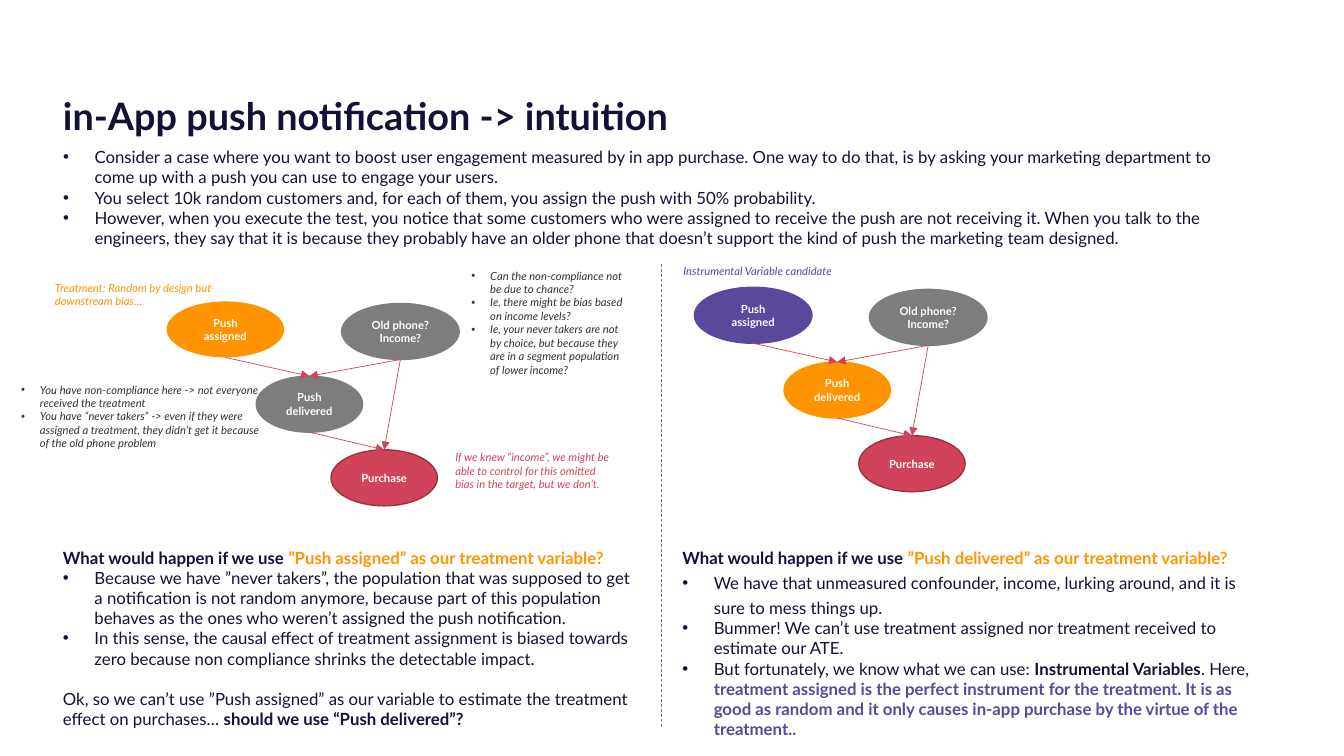
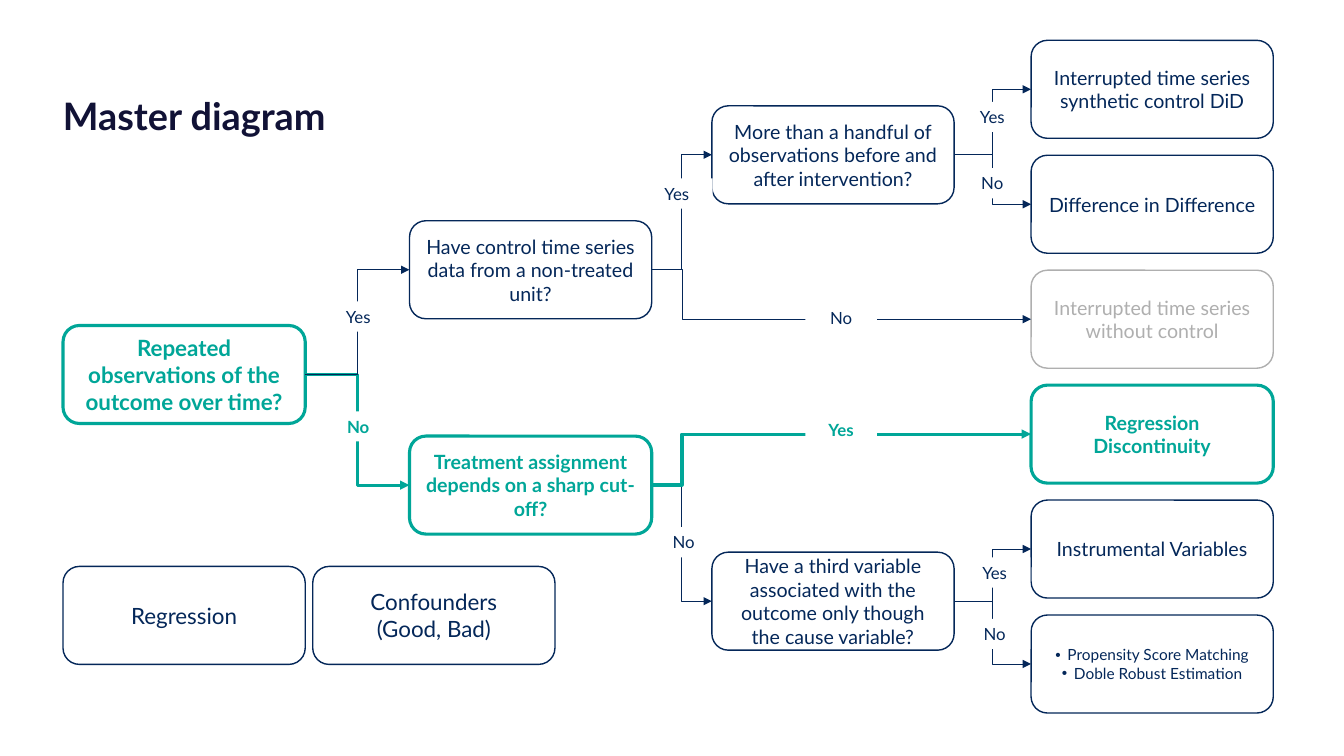
"""Build two slides: a push notification example and a method decision tree."""
from dataclasses import dataclass
from typing import NamedTuple, Optional

from lxml import etree
from pptx import Presentation
from pptx.dml.color import RGBColor
from pptx.enum.dml import MSO_LINE
from pptx.enum.shapes import MSO_CONNECTOR, MSO_SHAPE
from pptx.enum.text import MSO_ANCHOR, PP_ALIGN
from pptx.oxml.ns import qn
from pptx.util import Pt

LEFT, CENTER = PP_ALIGN.LEFT, PP_ALIGN.CENTER
TOP, MIDDLE = MSO_ANCHOR.TOP, MSO_ANCHOR.MIDDLE
RECTANGLE, ROUNDED, OVAL = MSO_SHAPE.RECTANGLE, MSO_SHAPE.ROUNDED_RECTANGLE, MSO_SHAPE.OVAL
STRAIGHT, ELBOW = MSO_CONNECTOR.STRAIGHT, MSO_CONNECTOR.ELBOW
DASH = MSO_LINE.DASH
LEFT_SITE, RIGHT_SITE = 1, 3


@dataclass(frozen=True)
class Theme:
    font: str = "Lato"
    ink: RGBColor = RGBColor.from_string("111236")
    note: RGBColor = RGBColor.from_string("333333")
    white: RGBColor = RGBColor.from_string("FFFFFF")
    gray: RGBColor = RGBColor.from_string("7D7D7D")
    orange: RGBColor = RGBColor.from_string("FF9300")
    purple: RGBColor = RGBColor.from_string("59489B")
    red: RGBColor = RGBColor.from_string("D1435B")
    dark_red: RGBColor = RGBColor.from_string("9B3243")
    navy: RGBColor = RGBColor.from_string("042759")
    teal: RGBColor = RGBColor.from_string("00A698")
    faded: RGBColor = RGBColor.from_string("AFAFAF")
    title_size: float = 27
    large_size: float = 16
    box_size: float = 14
    body_size: float = 12
    list_size: float = 11
    small_size: float = 8
    thin: float = 0.5
    regular: float = 1
    thick: float = 2.25


THEME = Theme()


class Area(NamedTuple):
    left: float
    top: float
    width: float
    height: float


class Style(NamedTuple):
    size: float
    color: RGBColor
    bold: bool = False
    italic: bool = False
    align: PP_ALIGN = LEFT
    anchor: MSO_ANCHOR = TOP
    inset: bool = True


class Span(NamedTuple):
    text: str
    color: Optional[RGBColor] = None
    bold: Optional[bool] = None


class Line(NamedTuple):
    spans: tuple[Span, ...]
    indent: float = 0
    spacing: Optional[float] = None
    before: float = 0


class Node(NamedTuple):
    text: str
    left: float
    top: float
    width: float
    fill: RGBColor
    outline: Optional[RGBColor]


class Box(NamedTuple):
    name: str
    left: float
    top: float
    lines: list[Line]
    color: RGBColor = THEME.navy
    size: float = THEME.box_size


class Link(NamedTuple):
    start: str
    end: str
    color: RGBColor = THEME.navy
    bend: float = 0.5


class Label(NamedTuple):
    text: str
    left: float
    top: float
    color: RGBColor = THEME.navy
    width: float = 51


TITLE = Style(THEME.title_size, THEME.ink, bold=True, inset=False)
BODY = Style(THEME.body_size, THEME.ink, inset=False)
NODE = Style(THEME.small_size, THEME.white, bold=True, align=CENTER, anchor=MIDDLE)
NODE_HEIGHT = 40
BOX_WIDTH, BOX_HEIGHT = 173, 70
COLUMNS = (45, 292.5, 508.5, 736.5)
BODY_INDENT, NOTE_INDENT, BOX_INDENT = 22.5, 13.5, 8.6


def plain(*texts: str, indent: float = 0) -> list[Line]:
    """Return one single-span line per text."""
    return [Line((Span(text),), indent) for text in texts]


def write(shape, lines: list[Line], style: Style) -> None:
    """Fill a shape with styled paragraphs."""
    frame = shape.text_frame
    frame.word_wrap = True
    frame.vertical_anchor = style.anchor
    if not style.inset:
        frame.margin_left = frame.margin_right = frame.margin_top = frame.margin_bottom = 0
    for index, line in enumerate(lines):
        paragraph = frame.add_paragraph() if index else frame.paragraphs[0]
        paragraph.alignment = style.align
        if line.indent:
            properties = paragraph._p.get_or_add_pPr()
            properties.set("marL", str(Pt(line.indent)))
            properties.set("indent", str(-Pt(line.indent)))
            etree.SubElement(properties, qn("a:buFont"), typeface="Arial")
            etree.SubElement(properties, qn("a:buChar"), char="•")
        if line.spacing:
            paragraph.line_spacing = line.spacing
        if line.before:
            paragraph.space_before = Pt(line.before)
        for span in line.spans:
            run = paragraph.add_run()
            run.text = span.text
            font = run.font
            font.name, font.size = THEME.font, Pt(style.size)
            font.bold = style.bold if span.bold is None else span.bold
            font.italic = style.italic
            font.color.rgb = span.color or style.color


def add_text(slide, area: Area, lines: list[Line], style: Style) -> None:
    """Add a text box."""
    write(slide.shapes.add_textbox(*map(Pt, area)), lines, style)


def add_figure(slide, kind: MSO_SHAPE, area: Area, lines: list[Line], style: Style,
               fill: Optional[RGBColor] = None, outline: Optional[RGBColor] = None,
               weight: float = THEME.regular):
    """Add a preset shape with text."""
    shape = slide.shapes.add_shape(kind, *map(Pt, area))
    shape.shadow.inherit = False
    if fill is None:
        shape.fill.background()
    else:
        shape.fill.solid()
        shape.fill.fore_color.rgb = fill
    if outline is None:
        shape.line.fill.background()
    else:
        shape.line.color.rgb = outline
        shape.line.width = Pt(weight)
    write(shape, lines, style)
    return shape


def add_line(slide, kind: MSO_CONNECTOR, start: tuple[float, float], end: tuple[float, float],
             color: RGBColor, weight: float = THEME.thin, arrow: bool = True):
    """Add a connector, with an arrowhead at its end if wanted."""
    connector = slide.shapes.add_connector(kind, *map(Pt, (*start, *end)))
    connector.line.color.rgb = color
    connector.line.width = Pt(weight)
    if arrow:
        etree.SubElement(connector.line._get_or_add_ln(), qn("a:tailEnd"), type="triangle")
    etree.SubElement(connector._element.spPr, qn("a:effectLst"))
    return connector


def add_slide(presentation, title: str):
    """Add a blank slide with the shared title."""
    slide = presentation.slides.add_slide(presentation.slide_layouts[6])
    add_text(slide, Area(45, 63.5, 524, 32), [Line((Span(title),), spacing=1.08)], TITLE)
    return slide


def add_causal_graph(slide, left: float, top: float, assigned: RGBColor,
                     assigned_outline: Optional[RGBColor], delivered: RGBColor) -> None:
    """Draw the four-node causal graph at a given origin."""
    nodes = (
        Node("Purchase", 117.4, 106, 76, THEME.red, THEME.dark_red),
        Node("Push delivered", 64, 53.4, 76, delivered, delivered),
        Node("Old phone? Income?", 125, 1.5, 84, THEME.gray, THEME.gray),
        Node("Push assigned", 0, 0, 84, assigned, assigned_outline),
    )
    for node in nodes:
        area = Area(left + node.left, top + node.top, node.width, NODE_HEIGHT)
        add_figure(slide, OVAL, area, plain(node.text), NODE, node.fill, node.outline)
    purchase, push, phone, assignment = nodes
    for cause, effect in ((assignment, push), (phone, push), (phone, purchase), (push, purchase)):
        start = (left + cause.left + cause.width / 2, top + cause.top + NODE_HEIGHT)
        end = (left + effect.left + effect.width / 2, top + effect.top)
        add_line(slide, STRAIGHT, start, end, THEME.red)


def add_note(slide, area: Area, color: RGBColor, *texts: str, indent: float = 0) -> None:
    """Add a small italic remark."""
    add_text(slide, area, plain(*texts, indent=indent), Style(THEME.small_size, color, italic=True))


def question(treatment: str) -> Line:
    """Return the heading that asks about a treatment variable."""
    return Line((Span("What would happen if we use ", bold=True),
                 Span(f"”{treatment}” as our treatment variable?", THEME.orange, True)))


def build_intuition(presentation) -> None:
    """Build the push notification slide."""
    slide = add_slide(presentation, "in-App push notification -> intuition")
    add_text(slide, Area(45, 105, 840, 73), plain(
        "Consider a case where you want to boost user engagement measured by in app purchase. One way to do that, is by asking your marketing department to come up with a push you can use to engage your users.",
        "You select 10k random customers and, for each of them, you assign the push with 50% probability.",
        "However, when you execute the test, you notice that some customers who were assigned to receive the push are not receiving it. When you talk to the engineers, they say that it is because they probably have an older phone that doesn’t support the kind of push the marketing team designed.",
        indent=BODY_INDENT), BODY)
    add_causal_graph(slide, 119, 215.3, THEME.orange, None, THEME.gray)
    add_causal_graph(slide, 496, 205.2, THEME.purple, THEME.purple, THEME.orange)
    add_note(slide, Area(32.2, 197.3, 141, 27), THEME.orange,
             "Treatment: Random by design but downstream bias…")
    add_note(slide, Area(8, 270, 189.4, 55), THEME.note,
             "You have non-compliance here -> not everyone received the treatment",
             "You have “never takers” -> even if they were assigned a treatment, they didn’t get it because of the old phone problem",
             indent=NOTE_INDENT)
    add_note(slide, Area(329.6, 188.6, 125.3, 94), THEME.note,
             "Can the non-compliance not be due to chance?",
             "Ie, there might be bias based on income levels?",
             "Ie, your never takers are not by choice, but because they are in a segment population of lower income?",
             indent=NOTE_INDENT)
    add_note(slide, Area(318.2, 318.2, 125.3, 46), THEME.red,
             "If we knew “income”, we might be able to control for this omitted bias in the target, but we don’t.")
    add_note(slide, Area(481, 185, 141, 17), THEME.purple, "Instrumental Variable candidate")
    add_figure(slide, RECTANGLE, Area(45, 391, 410.4, 131), [
        question("Push assigned"),
        *plain("Because we have ”never takers”, the population that was supposed to get a notification is not random anymore, because part of this population behaves as the ones who weren’t assigned the push notification.",
               "In this sense, the causal effect of treatment assignment is biased towards zero because non compliance shrinks the detectable impact.",
               indent=BODY_INDENT),
        Line((Span("Ok, so we can’t use ”Push assigned” as our variable to estimate the treatment effect on purchases… "),
              Span("should we use “Push delivered”?", bold=True)), before=14.4),
    ], BODY, THEME.white)
    add_figure(slide, RECTANGLE, Area(487.4, 391, 410.4, 138), [
        question("Push delivered"),
        Line((Span("We have that unmeasured confounder, income, lurking around, and it is sure to mess things up."),),
             BODY_INDENT, 1.25),
        *plain("Bummer! We can’t use treatment assigned nor treatment received to estimate our ATE.", indent=BODY_INDENT),
        Line((Span("But fortunately, we know what we can use: "), Span("Instrumental Variables", bold=True),
              Span(". Here, "),
              Span("treatment assigned is the perfect instrument for the treatment. It is as good as random and it only causes in-app purchase by the virtue of the treatment..", THEME.purple, True)),
             BODY_INDENT),
    ], BODY, THEME.white)
    add_line(slide, STRAIGHT, (472.3, 188.6), (472.3, 520.6), THEME.gray,
             arrow=False).line.dash_style = DASH


def build_decision_tree(presentation) -> None:
    """Build the master diagram slide."""
    slide = add_slide(presentation, "Master diagram")
    first, second, third, last = COLUMNS
    rows = [28.8 + 82.1 * index for index in range(6)]
    boxes = (
        Box("repeated", first, 232.5, plain("Repeated observations of the outcome over time?"), THEME.teal, THEME.large_size),
        Box("control", second, 157.7, plain("Have control time series data from a non-treated unit?")),
        Box("cutoff", second, 311.5, plain("Treatment assignment depends on a sharp cut-off?"), THEME.teal),
        Box("handful", third, 75.6, plain("More than a handful of observations before and after intervention?")),
        Box("third", third, 394.4, plain("Have a third variable associated with the outcome only though the cause variable?")),
        Box("synthetic", last, rows[0], plain("Interrupted time series synthetic control DiD")),
        Box("difference", last, rows[1], plain("Difference in Difference")),
        Box("interrupted", last, rows[2], plain("Interrupted time series without control"), THEME.faded),
        Box("discontinuity", last, rows[3], plain("Regression Discontinuity"), THEME.teal),
        Box("instrumental", last, rows[4], plain("Instrumental Variables")),
        Box("matching", last, rows[5], plain("Propensity Score Matching", "Doble Robust Estimation", indent=BOX_INDENT), size=THEME.list_size),
        Box("regression", first, 404.6, plain("Regression"), size=THEME.large_size),
        Box("confounders", 223.4, 404.6, plain("Confounders", "(Good, Bad)"), size=THEME.large_size),
    )
    shapes = {}
    for box in boxes:
        active = box.color == THEME.teal
        style = Style(box.size, box.color, active, align=CENTER, anchor=MIDDLE)
        shapes[box.name] = add_figure(
            slide, ROUNDED, Area(box.left, box.top, BOX_WIDTH, BOX_HEIGHT), box.lines, style,
            outline=box.color, weight=THEME.thick if active else THEME.regular)
    for link in (
        Link("handful", "synthetic"), Link("handful", "difference"), Link("control", "handful"),
        Link("control", "interrupted", bend=0.08), Link("third", "instrumental"),
        Link("third", "matching"), Link("cutoff", "third"),
        Link("cutoff", "discontinuity", THEME.teal, 0.08),
        Link("repeated", "cutoff", THEME.teal), Link("repeated", "control"),
    ):
        weight = THEME.thick if link.color == THEME.teal else THEME.thin
        connector = add_line(slide, ELBOW, (0, 0), (0, 0), link.color, weight)
        connector.begin_connect(shapes[link.start], RIGHT_SITE)
        connector.end_connect(shapes[link.end], LEFT_SITE)
        adjustments = connector._element.spPr.find(qn("a:prstGeom")).find(qn("a:avLst"))
        etree.SubElement(adjustments, qn("a:gd"), name="adj1", fmla=f"val {round(link.bend * 100000)}")
    for label in (
        Label("Yes", 683.3, 72.7), Label("Yes", 458, 127.4), Label("Yes", 230.4, 215.3),
        Label("Yes", 575.3, 296, THEME.teal), Label("Yes", 685, 398.2),
        Label("No", 683.3, 120.2), Label("No", 575.3, 216), Label("No", 685, 442),
        Label("No", 467.3, 376.6, width=42), Label("No", 230.4, 293.8, THEME.teal),
    ):
        style = Style(THEME.body_size, label.color, label.color == THEME.teal, align=CENTER)
        add_figure(slide, RECTANGLE, Area(label.left, label.top, label.width, 21.6),
                   plain(label.text), style, THEME.white)


def main() -> None:
    """Create and save the presentation."""
    presentation = Presentation()
    presentation.slide_width, presentation.slide_height = Pt(960), Pt(540)
    build_intuition(presentation)
    build_decision_tree(presentation)
    presentation.save("out.pptx")


if __name__ == "__main__":
    main()
